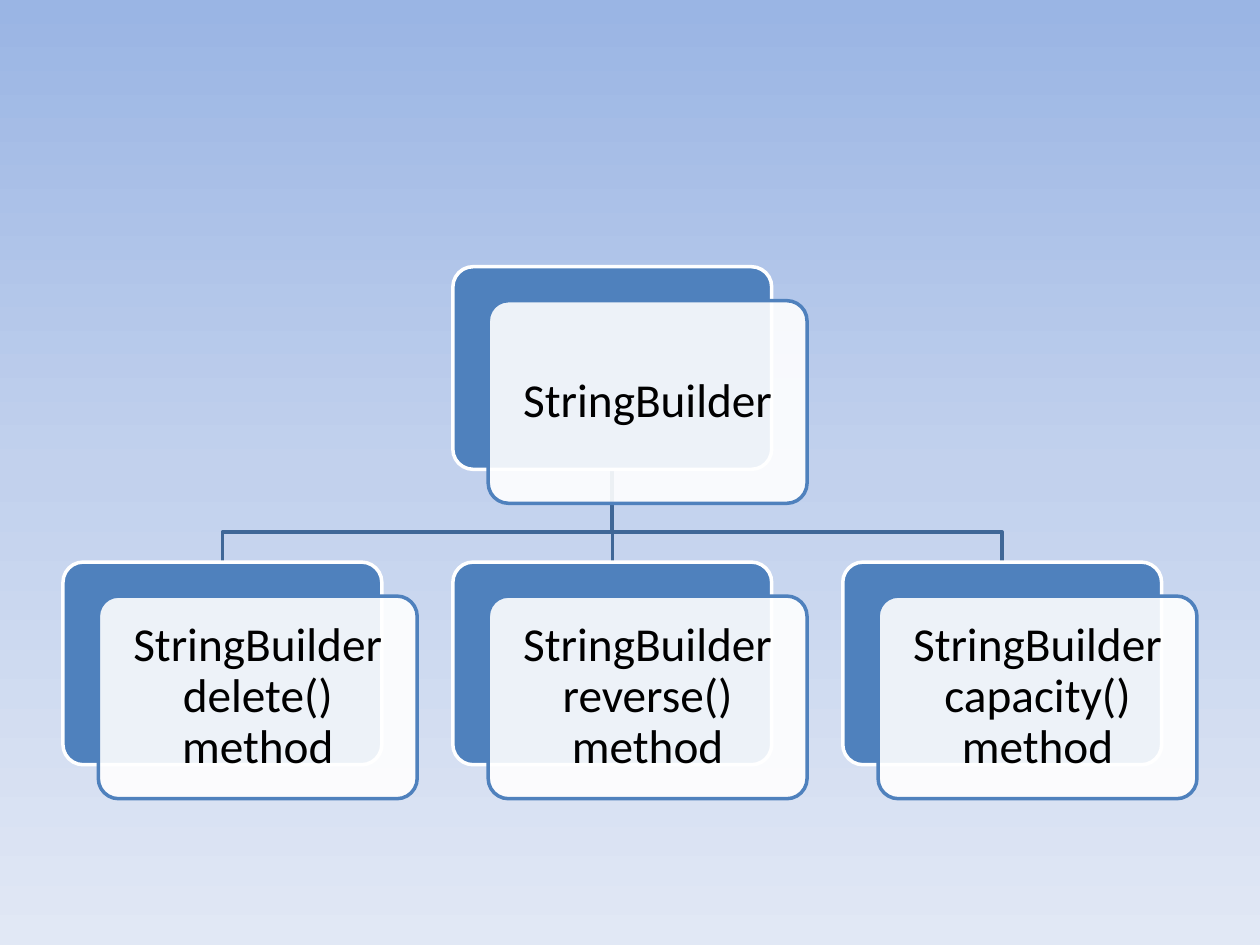
from dataclasses import dataclass

from lxml import etree
from pptx import Presentation
from pptx.dml.color import RGBColor
from pptx.enum.shapes import MSO_CONNECTOR, MSO_SHAPE
from pptx.enum.text import MSO_ANCHOR, PP_ALIGN
from pptx.oxml.ns import qn
from pptx.util import Pt

COLORS = {
    "sky_top": "9AB5E4", "sky_middle": "C2D1ED", "sky_bottom": "E1E8F5",
    "blue": "4F81BD", "branch": "3F6797", "white": "FFFFFF", "text": "000000",
}
FONT = "Calibri"
BOX_W, BOX_H = 182.2, 115.8
CARD_DX, CARD_DY = 20.2, 19.4
LEFT, PITCH = 36, 222.8
ROOT_TOP, CHILD_TOP, BUS_Y = 152.4, 321.2, 304


@dataclass
class Node:
    text: str
    column: int
    top: float

    @property
    def left(self) -> float:
        return LEFT + self.column * PITCH

    @property
    def center(self) -> float:
        return self.left + BOX_W / 2


def rgb(name: str) -> RGBColor:
    return RGBColor.from_string(COLORS[name])


def set_line(shape, color: str) -> None:
    shape.line.color.rgb = rgb(color)
    shape.line.width = Pt(2)


def set_background(slide) -> None:
    fill = slide.background.fill
    fill.gradient()
    fill.gradient_angle = 270
    stops = slide.background._cSld.find(".//" + qn("a:gsLst"))
    for stop in list(stops):
        stops.remove(stop)
    for position, name in ((0, "sky_top"), (50, "sky_middle"), (100, "sky_bottom")):
        stop = etree.SubElement(stops, qn("a:gs"), pos=str(position * 1000))
        etree.SubElement(stop, qn("a:srgbClr"), val=COLORS[name])


def add_branch(slide, parent: Node, child: Node) -> None:
    start = parent.top + BOX_H
    if parent.column == child.column:
        branch = slide.shapes.add_connector(
            MSO_CONNECTOR.STRAIGHT, Pt(parent.center), Pt(start),
            Pt(child.center), Pt(child.top))
        etree.SubElement(branch._element.spPr, qn("a:effectLst"))
        set_line(branch, "branch")
        return
    builder = slide.shapes.build_freeform(Pt(parent.center), Pt(start))
    corners = [(parent.center, BUS_Y), (child.center, BUS_Y), (child.center, child.top)]
    builder.add_line_segments([(Pt(x), Pt(y)) for x, y in corners], close=False)
    branch = builder.convert_to_shape()
    branch.shadow.inherit = False
    branch.fill.background()
    set_line(branch, "branch")


def add_box(slide, left: float, top: float, fill: str, line: str):
    box = slide.shapes.add_shape(
        MSO_SHAPE.ROUNDED_RECTANGLE, Pt(left), Pt(top), Pt(BOX_W), Pt(BOX_H))
    box.adjustments[0] = 0.1
    box.shadow.inherit = False
    box.fill.solid()
    box.fill.fore_color.rgb = rgb(fill)
    set_line(box, line)
    return box


def add_node(slide, node: Node) -> None:
    add_box(slide, node.left, node.top, "blue", "white")
    card = add_box(slide, node.left + CARD_DX, node.top + CARD_DY, "white", "blue")
    # Let the blue box show through the card
    color = card._element.spPr.find(qn("a:solidFill")).find(qn("a:srgbClr"))
    etree.SubElement(color, qn("a:alpha"), val="90000")

    frame = card.text_frame
    frame.word_wrap = True
    frame.vertical_anchor = MSO_ANCHOR.MIDDLE
    frame.margin_left = frame.margin_right = Pt(8)
    frame.margin_top = frame.margin_bottom = Pt(8)
    paragraph = frame.paragraphs[0]
    paragraph.alignment = PP_ALIGN.CENTER
    paragraph.line_spacing = 0.9
    run = paragraph.add_run()
    run.text = node.text
    run.font.name = FONT
    run.font.size = Pt(27)
    run.font.color.rgb = rgb("text")


def main() -> None:
    prs = Presentation()
    prs.slide_width, prs.slide_height = Pt(720), Pt(540)
    slide = prs.slides.add_slide(prs.slide_layouts[6])
    set_background(slide)

    root = Node("StringBuilder", 1, ROOT_TOP)
    children = [
        Node(f"StringBuilder {method}() method", column, CHILD_TOP)
        for column, method in enumerate(("delete", "reverse", "capacity"))
    ]

    # Branches lie behind the boxes
    for child in children:
        add_branch(slide, root, child)
    for node in [root, *children]:
        add_node(slide, node)

    prs.save("out.pptx")


main()
